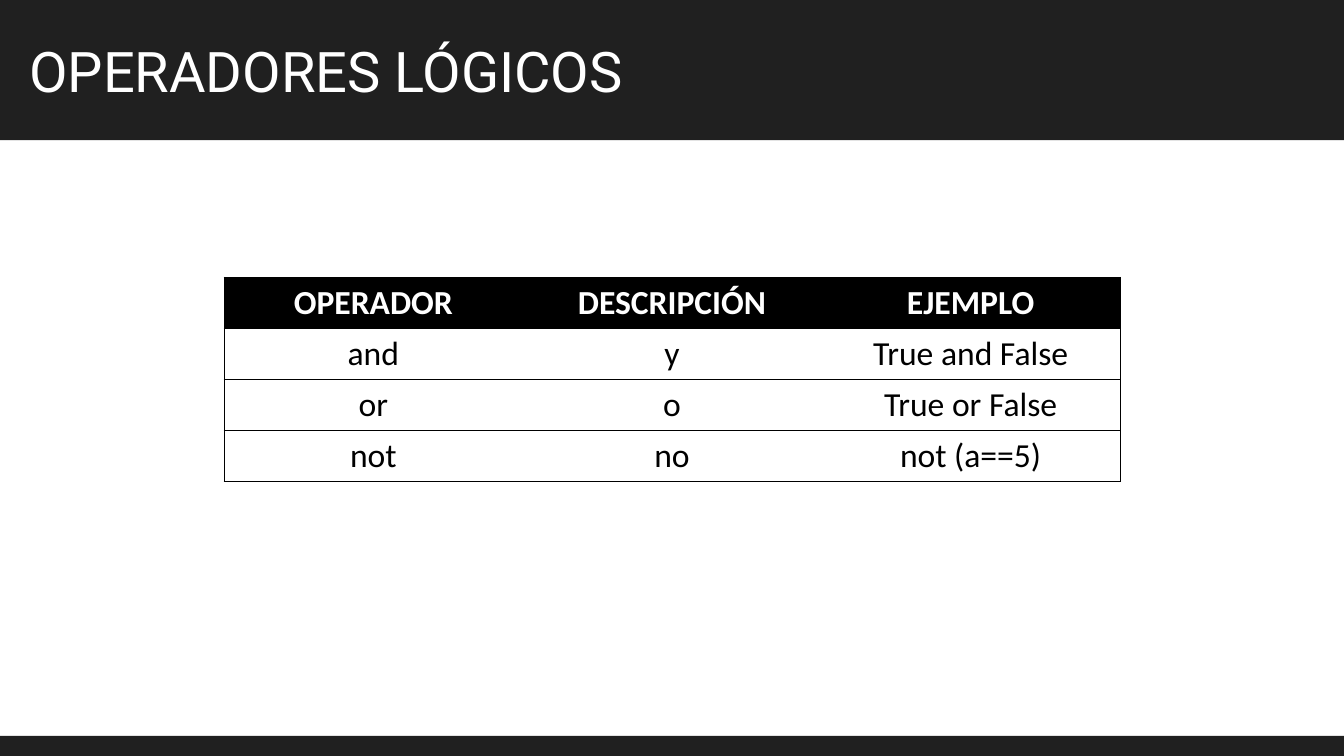
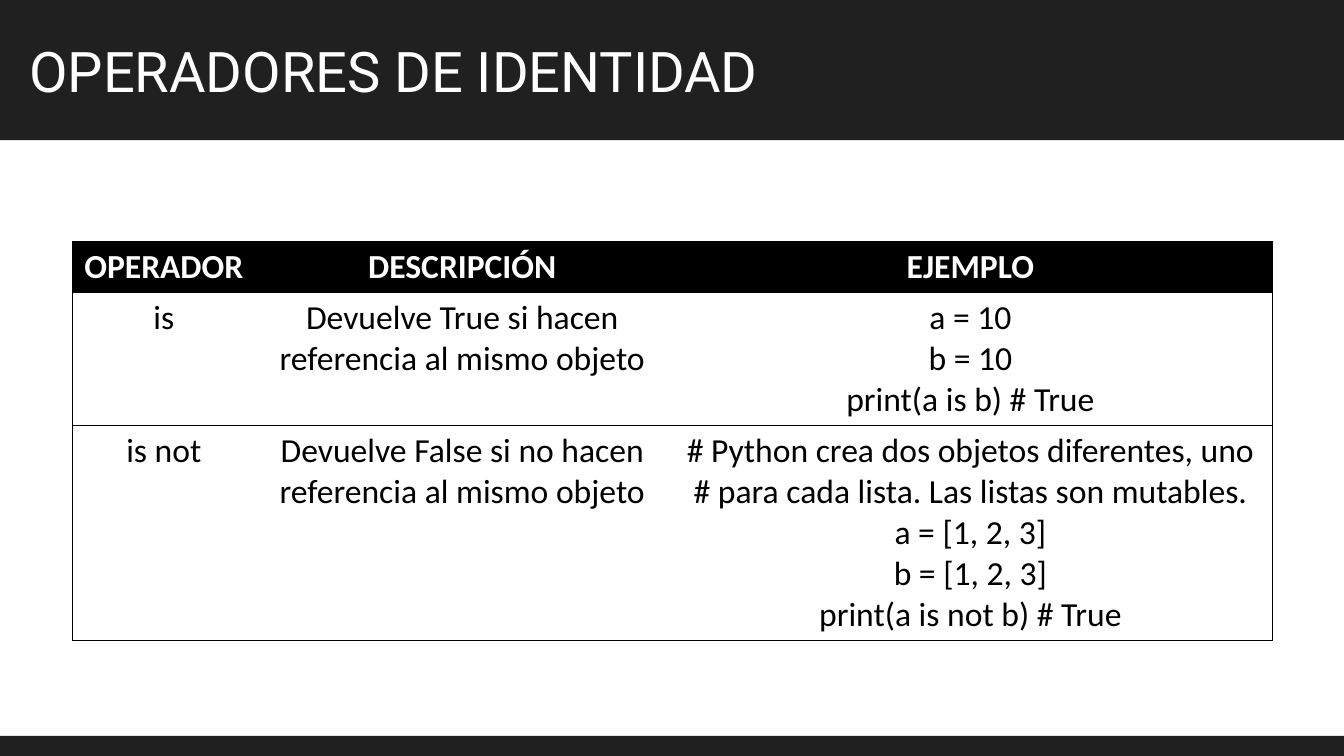
import pptx
import pptx.dml.color
import pptx.enum.shapes
import pptx.enum.text
import pptx.oxml
import pptx.oxml.ns
import pptx.util

WIDTH = pptx.util.Inches(13.33)
HEIGHT = pptx.util.Inches(7.5)
BAND_COLOR = "202020"
BLACK = "000000"
WHITE = "FFFFFF"
HEADER_BAND = 1.39 / 7.5
FOOTER_BAND = 0.2 / 7.5
TITLE_BOX = (0.19 / 13.33, 0.31 / 7.5, 2 / 3, 0.77 / 7.5)
BODY_CENTER = (HEADER_BAND + 1 - FOOTER_BAND) / 2
LINE_HEIGHT = 0.4
ROW_PADDING = 0.1
HEADINGS = ("OPERADOR", "DESCRIPCIÓN", "EJEMPLO")

LOGICAL = [
    HEADINGS,
    ("and", "y", "True and False"),
    ("or", "o", "True or False"),
    ("not", "no", "not (a==5)"),
]
IDENTITY = [
    HEADINGS,
    (
        "is",
        "Devuelve True si hacen referencia al mismo objeto",
        "a = 10\nb = 10\nprint(a is b) # True",
    ),
    (
        "is not",
        "Devuelve False si no hacen referencia al mismo objeto",
        "# Python crea dos objetos diferentes, uno\n"
        "# para cada lista. Las listas son mutables.\n"
        "a = [1, 2, 3]\nb = [1, 2, 3]\nprint(a is not b) # True",
    ),
]


def rgb(color):
    return pptx.dml.color.RGBColor.from_string(color)


def box(left, top, width, height):
    return (
        round(left * WIDTH),
        round(top * HEIGHT),
        round(width * WIDTH),
        round(height * HEIGHT),
    )


def style(paragraph, font_name, size, color, align, bold=False):
    paragraph.alignment = align
    paragraph.font.name = font_name
    paragraph.font.size = pptx.util.Pt(size)
    paragraph.font.bold = bold
    paragraph.font.color.rgb = rgb(color)


def add_band(slide, top, height):
    band = slide.shapes.add_shape(
        pptx.enum.shapes.MSO_SHAPE.RECTANGLE, *box(0, top, 1, height)
    )
    band.shadow.inherit = False
    band.fill.solid()
    band.fill.fore_color.rgb = rgb(BAND_COLOR)
    band.line.fill.background()


def add_titled_slide(deck, heading):
    slide = deck.slides.add_slide(deck.slide_layouts[5])
    add_band(slide, 0, HEADER_BAND)
    add_band(slide, 1 - FOOTER_BAND, FOOTER_BAND)
    title = slide.shapes.title
    slide.shapes.element.append(title.element)
    title.left, title.top, title.width, title.height = box(*TITLE_BOX)
    frame = title.text_frame
    frame.text = heading
    frame.auto_size = pptx.enum.text.MSO_AUTO_SIZE.NONE
    frame.vertical_anchor = pptx.enum.text.MSO_ANCHOR.MIDDLE
    style(frame.paragraphs[0], "Roboto", 40, WHITE, pptx.enum.text.PP_ALIGN.LEFT)
    return slide


def set_borders(cell, visible_sides):
    properties = cell._tc.get_or_add_tcPr()
    namespace = pptx.oxml.ns.nsdecls("a")
    for side in "LRTB":
        paint = "<a:noFill/>"
        if side in visible_sides:
            paint = f'<a:solidFill><a:srgbClr val="{BLACK}"/></a:solidFill>'
        properties.append(
            pptx.oxml.parse_xml(
                f'<a:ln{side} {namespace} w="{pptx.util.Pt(0.5)}">{paint}</a:ln{side}>'
            )
        )


def fill_cell(cell, text, is_heading, sides):
    set_borders(cell, sides)
    if is_heading:
        cell.fill.solid()
        cell.fill.fore_color.rgb = rgb(BLACK)
    else:
        cell.fill.background()
    cell.text_frame.text = text
    color = WHITE if is_heading else BLACK
    for paragraph in cell.text_frame.paragraphs:
        style(
            paragraph, "Calibri", 24, color, pptx.enum.text.PP_ALIGN.CENTER, is_heading
        )


def add_operator_table(slide, rows, column_shares, center):
    line_counts = [max(text.count("\n") + 1 for text in row) for row in rows]
    row_shares = [(n * LINE_HEIGHT + ROW_PADDING) / 7.5 for n in line_counts]
    width, height = sum(column_shares), sum(row_shares)
    table = slide.shapes.add_table(
        len(rows),
        len(column_shares),
        *box((1 - width) / 2, center - height / 2, width, height),
    ).table
    for column, share in zip(table.columns, column_shares):
        column.width = round(share * WIDTH)
    for r, row in enumerate(rows):
        table.rows[r].height = round(row_shares[r] * HEIGHT)
        for c, text in enumerate(row):
            sides = "TB" + "L" * (c == 0) + "R" * (c == len(row) - 1)
            fill_cell(table.cell(r, c), text, r == 0, sides)


def main():
    deck = pptx.Presentation()
    deck.slide_width, deck.slide_height = WIDTH, HEIGHT
    logical = add_titled_slide(deck, "OPERADORES LÓGICOS")
    add_operator_table(logical, LOGICAL, [2 / 9] * 3, 0.5)
    identity = add_titled_slide(deck, "OPERADORES DE IDENTIDAD")
    identity_columns = [inches / 13.33 for inches in (1.82, 4.1, 5.98)]
    add_operator_table(identity, IDENTITY, identity_columns, BODY_CENTER)
    deck.save("out.pptx")


if __name__ == "__main__":
    main()
